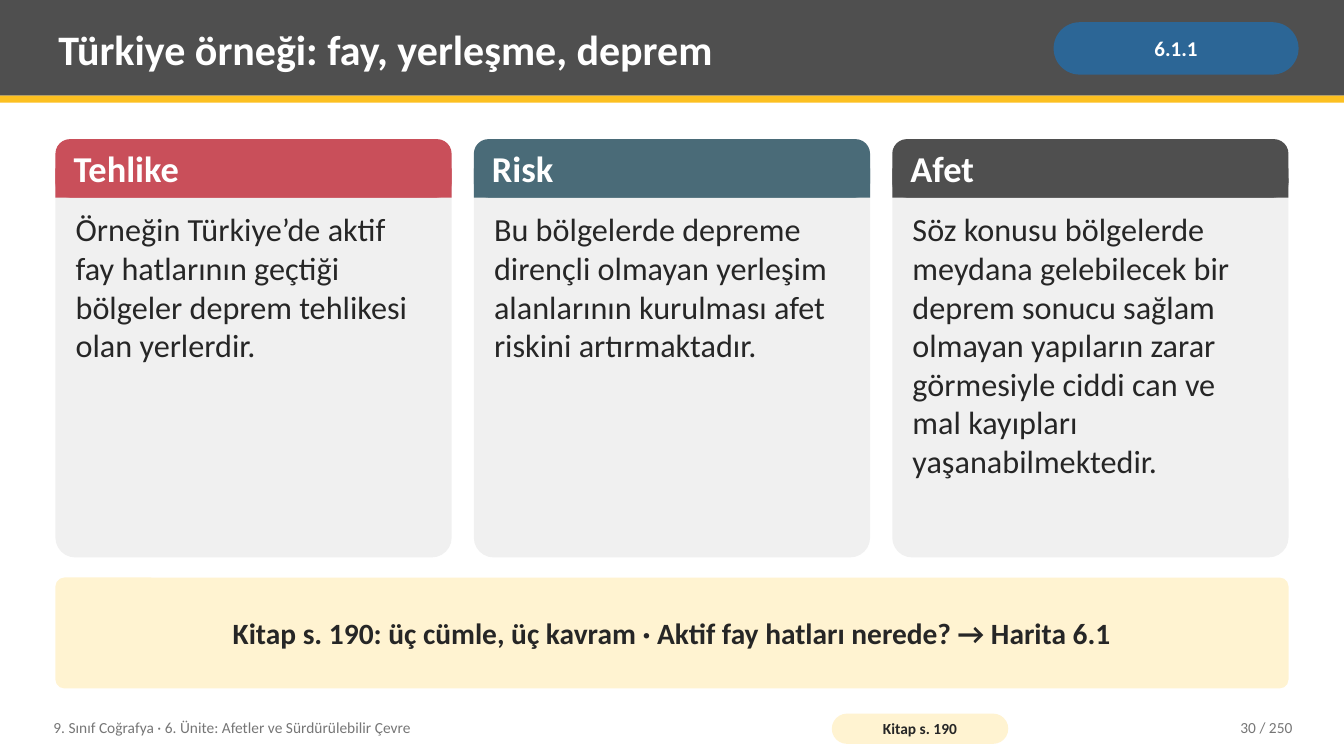
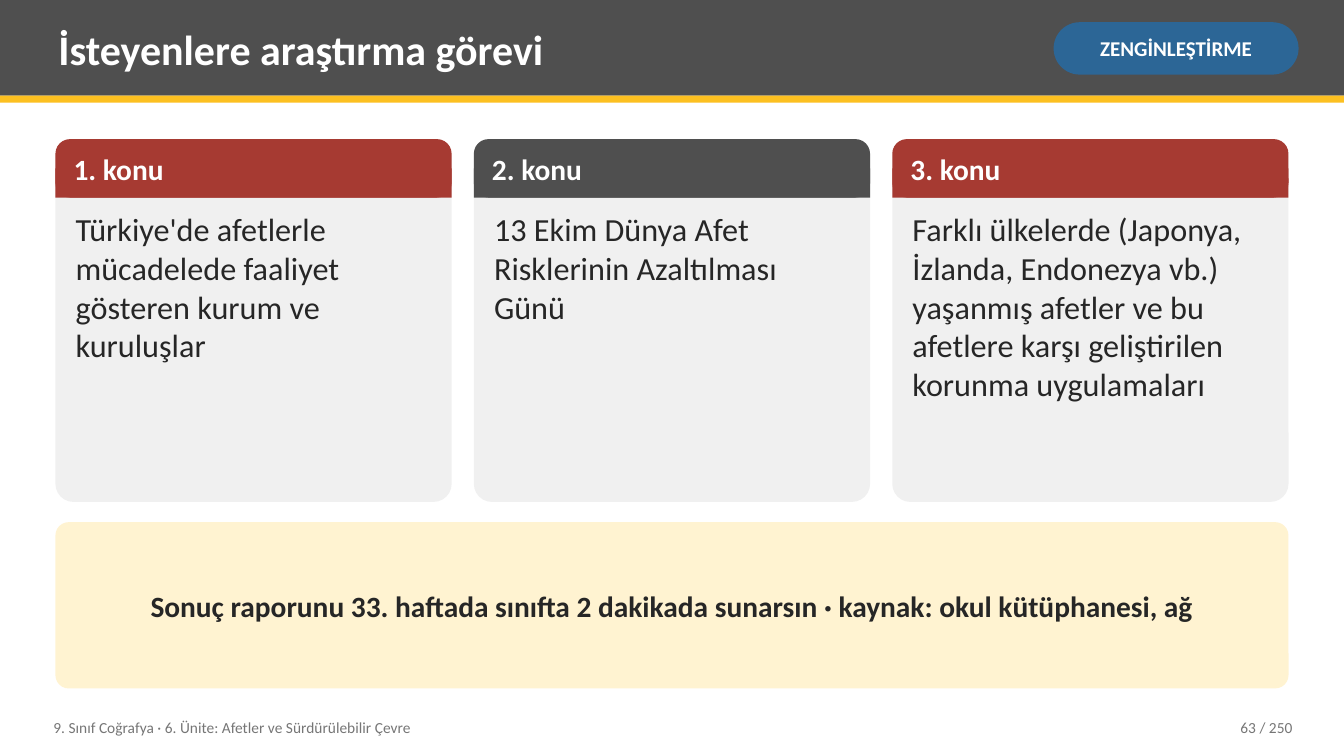
from pptx import Presentation
from pptx.dml.color import RGBColor
from pptx.enum import shapes, text
from pptx.util import Inches, Pt

CHARCOAL = RGBColor(0x4F, 0x4F, 0x4F)
GOLD = RGBColor(0xFC, 0xC0, 0x21)
BLUE = RGBColor(0x2C, 0x66, 0x96)
ROSE = RGBColor(0xC9, 0x4F, 0x5A)
TEAL = RGBColor(0x4A, 0x6B, 0x78)
BRICK = RGBColor(0xA6, 0x3A, 0x32)
PALE = RGBColor(0xF0, 0xF0, 0xF0)
CREAM = RGBColor(0xFF, 0xF3, 0xD1)
INK = RGBColor(0x26, 0x26, 0x26)
GREY = RGBColor(0x76, 0x76, 0x76)
WHITE = RGBColor(0xFF, 0xFF, 0xFF)

FONT = "Calibri"
COURSE = "9. Sınıf Coğrafya · 6. Ünite: Afetler ve Sürdürülebilir Çevre"
SLIDE_WIDTH = 13.33
MARGIN = 0.55
CARD_TOP = 1.38
CARD_WIDTH = 3.93
CARD_GAP = 0.22
HEADER_HEIGHT = 0.58
CALLOUT_GAP = 0.2
CALLOUT_BOTTOM = 6.83
CALLOUT_WIDTH = 3 * CARD_WIDTH + 2 * CARD_GAP

LEFT, CENTER, RIGHT = text.PP_ALIGN.LEFT, text.PP_ALIGN.CENTER, text.PP_ALIGN.RIGHT
TOP, MIDDLE = text.MSO_ANCHOR.TOP, text.MSO_ANCHOR.MIDDLE

LESSONS = [
    {
        "title": "Türkiye örneği: fay, yerleşme, deprem",
        "tag": "6.1.1",
        "card_height": 4.15,
        "header_size": 26,
        "cards": [
            ("Tehlike", ROSE, "Örneğin Türkiye’de aktif fay hatlarının geçtiği bölgeler "
             "deprem tehlikesi olan yerlerdir."),
            ("Risk", TEAL, "Bu bölgelerde depreme dirençli olmayan yerleşim alanlarının "
             "kurulması afet riskini artırmaktadır."),
            ("Afet", CHARCOAL, "Söz konusu bölgelerde meydana gelebilecek bir deprem sonucu "
             "sağlam olmayan yapıların zarar görmesiyle ciddi can ve mal kayıpları "
             "yaşanabilmektedir."),
        ],
        "callout": "Kitap s. 190: üç cümle, üç kavram · Aktif fay hatları nerede? → Harita 6.1",
        "book_page": "Kitap s. 190",
        "number": "30 / 250",
    },
    {
        "title": "İsteyenlere araştırma görevi",
        "tag": "ZENGİNLEŞTİRME",
        "card_height": 3.6,
        "header_size": 21,
        "cards": [
            ("1. konu", BRICK, "Türkiye'de afetlerle mücadelede faaliyet gösteren kurum ve "
             "kuruluşlar"),
            ("2. konu", CHARCOAL, "13 Ekim Dünya Afet Risklerinin Azaltılması Günü"),
            ("3. konu", BRICK, "Farklı ülkelerde (Japonya, İzlanda, Endonezya vb.) yaşanmış "
             "afetler ve bu afetlere karşı geliştirilen korunma uygulamaları"),
        ],
        "callout": "Sonuç raporunu 33. haftada sınıfta 2 dakikada sunarsın · "
                   "kaynak: okul kütüphanesi, ağ",
        "book_page": None,
        "number": "63 / 250",
    },
]


def add_panel(slide, box, fill, corner=None):
    kind = shapes.MSO_SHAPE.RECTANGLE if corner is None else shapes.MSO_SHAPE.ROUNDED_RECTANGLE
    panel = slide.shapes.add_shape(kind, *map(Inches, box))
    if corner is not None:
        panel.adjustments[0] = corner
    panel.shadow.inherit = False
    panel.fill.solid()
    panel.fill.fore_color.rgb = fill
    panel.line.fill.background()
    return panel


def write(shape, words, size, color, bold=False, align=LEFT, anchor=MIDDLE, inset=(0.08, 0.04)):
    frame = shape.text_frame
    frame.text = words
    frame.word_wrap = True
    frame.auto_size = text.MSO_AUTO_SIZE.NONE
    frame.vertical_anchor = anchor
    frame.margin_left = frame.margin_right = Inches(inset[0])
    frame.margin_top = frame.margin_bottom = Inches(inset[1])
    paragraph = frame.paragraphs[0]
    paragraph.alignment = align
    font = paragraph.runs[0].font
    font.name, font.size, font.bold = FONT, Pt(size), bold
    font.color.rgb = color


prs = Presentation()
prs.slide_width = Inches(SLIDE_WIDTH)
prs.slide_height = Inches(7.5)
title_only = prs.slide_layouts[5]

for lesson in LESSONS:
    slide = prs.slides.add_slide(title_only)
    add_panel(slide, (0, 0, SLIDE_WIDTH, 0.95), CHARCOAL)
    add_panel(slide, (0, 0.95, SLIDE_WIDTH, 0.07), GOLD)

    title = slide.shapes.title
    title.element.getparent().append(title.element)
    title.left, title.top, title.width, title.height = map(Inches, (0.5, 0.07, 9.75, 0.82))
    write(title, lesson["title"], 30, WHITE, bold=True)

    tag = add_panel(slide, (10.45, 0.22, 2.43, 0.52), BLUE, 0.5)
    write(tag, lesson["tag"], 15, WHITE, bold=True, align=CENTER, inset=(0.05, 0.02))

    card_height = lesson["card_height"]
    for column, (heading, color, explanation) in enumerate(lesson["cards"]):
        left = MARGIN + column * (CARD_WIDTH + CARD_GAP)
        half = HEADER_HEIGHT / 2
        add_panel(slide, (left, CARD_TOP, CARD_WIDTH, card_height), PALE, 0.05)
        add_panel(slide, (left, CARD_TOP, CARD_WIDTH, HEADER_HEIGHT), color, 0.25)
        add_panel(slide, (left, CARD_TOP + half, CARD_WIDTH, half), color)

        header = slide.shapes.add_textbox(
            Inches(left + 0.1), Inches(CARD_TOP), Inches(CARD_WIDTH - 0.2), Inches(HEADER_HEIGHT))
        write(header, heading, lesson["header_size"], WHITE, bold=True)

        body = slide.shapes.add_textbox(
            Inches(left + 0.12), Inches(CARD_TOP + HEADER_HEIGHT + 0.08),
            Inches(CARD_WIDTH - 0.24), Inches(card_height - HEADER_HEIGHT - 0.16))
        write(body, explanation, 23, INK, anchor=TOP)

    callout_top = CARD_TOP + card_height + CALLOUT_GAP
    callout = add_panel(
        slide, (MARGIN, callout_top, CALLOUT_WIDTH, CALLOUT_BOTTOM - callout_top), CREAM, 0.08)
    write(callout, lesson["callout"], 21, INK, bold=True, align=CENTER, inset=(0.14, 0.08))

    course = slide.shapes.add_textbox(Inches(0.45), Inches(7.04), Inches(7.6), Inches(0.36))
    write(course, COURSE, 11, GREY)

    if lesson["book_page"]:
        book_page = add_panel(slide, (8.25, 7.08, 1.75, 0.3), CREAM, 0.5)
        write(book_page, lesson["book_page"], 11, INK, bold=True, align=CENTER, inset=(0.04, 0))

    number = slide.shapes.add_textbox(Inches(11.3), Inches(7.04), Inches(1.6), Inches(0.36))
    write(number, lesson["number"], 11, GREY, align=RIGHT)

prs.save("out.pptx")
